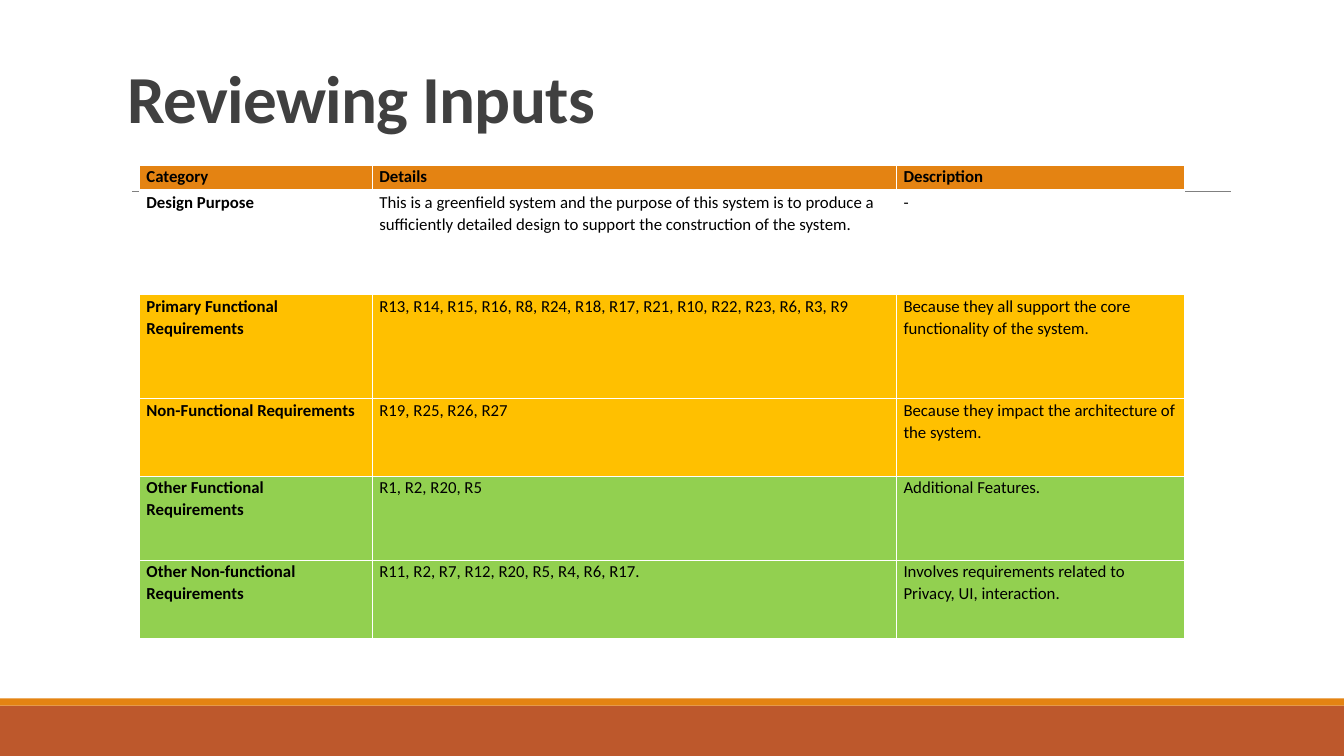
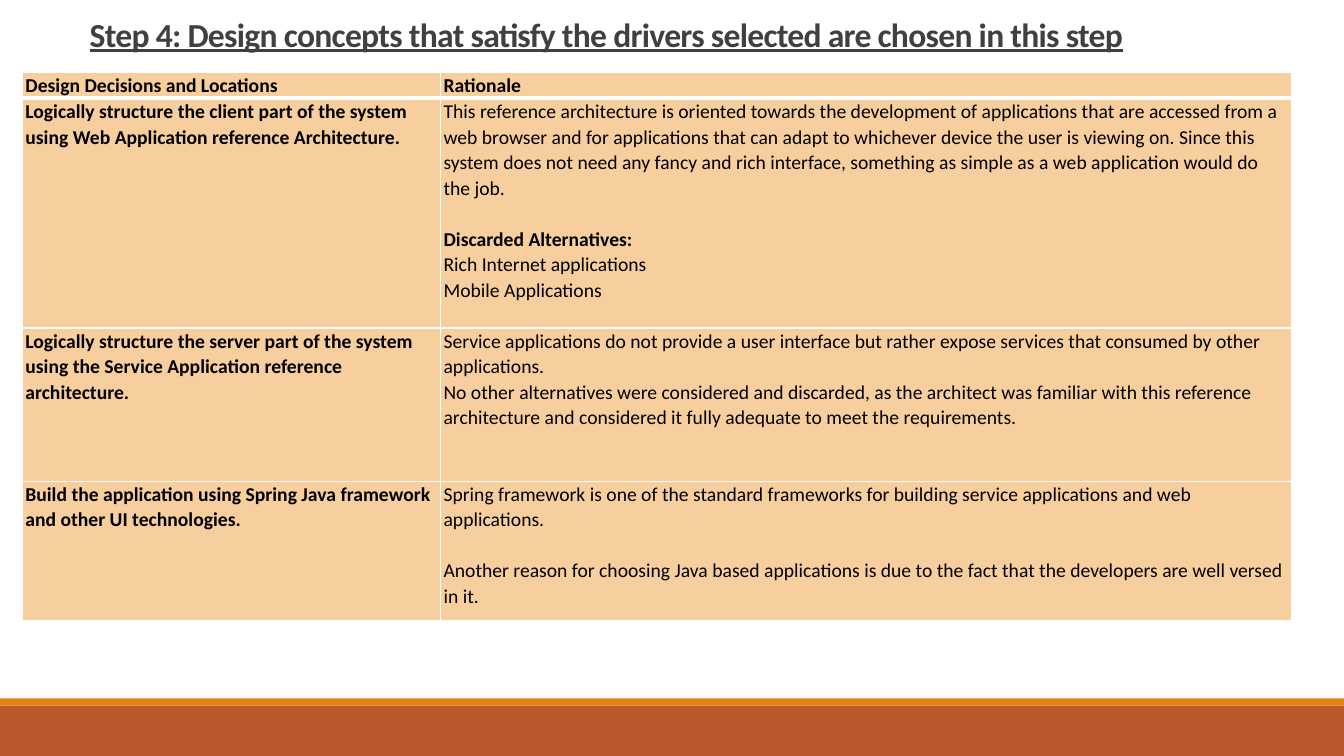
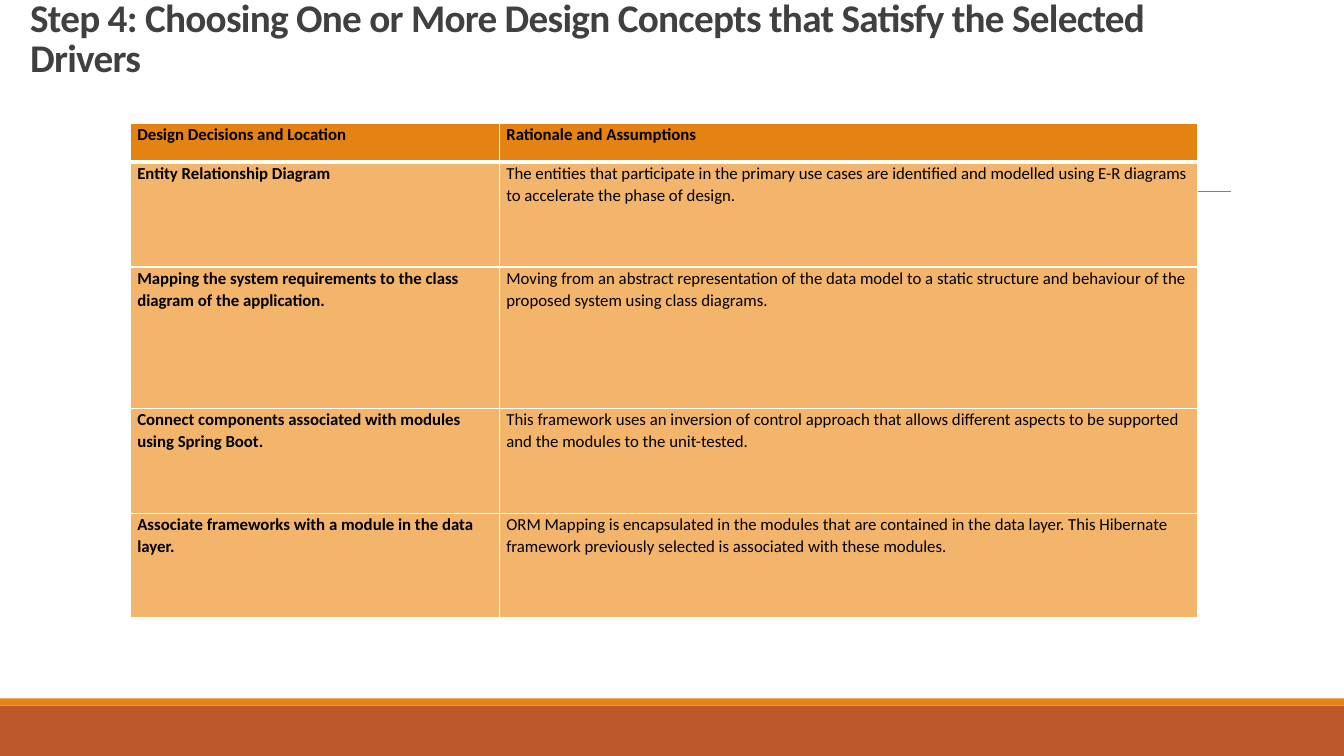
from lxml.etree import SubElement
from pptx import Presentation
from pptx.dml.color import RGBColor
from pptx.enum.shapes import MSO_CONNECTOR, MSO_SHAPE
from pptx.enum.text import MSO_ANCHOR, MSO_AUTO_SIZE, PP_ALIGN
from pptx.oxml.ns import qn
from pptx.util import Cm, Pt

COLORS = {
    "rust": "BD582C", "orange": "E48312", "peach": "F7CE9D", "apricot": "F3B56C",
    "amber": "FFC000", "green": "92D050", "white": "FFFFFF", "black": "000000",
    "title": "404040", "rule": "808080",
}
FONT = "Calibri"
WIDTH, HEIGHT = 33.87, 19.05
BANDS = [("rust", 17.78, 1.27), ("orange", 17.6, 0.18)]  # colour, top, height
RULE = (3.33, 4.83, 31.01, 4.83)
BLANK_LINE = 18.2  # points

# Content: lengths in cm, sizes in points. A cell is a string or a list of
# paragraphs; a paragraph is a string or (text, format) pair.
SLIDES = [
    {
        "title": "Reviewing Inputs",
        "title_box": (2.97, 0.2, 27.94, 3.38), "title_bottom": 0.13,
        "title_font": {"size": Pt(48)},
        "table_at": (3.51, 4.17), "text_size": 12, "inset": 0.18,
        "columns": [5.87, 13.21, 7.26],
        "heights": [0.64, 2.62, 2.62, 1.96, 2.11, 1.96],
        "fills": ["orange", "white", "amber", "amber", "green", "green"],
        "rows": [
            ["Category", "Details", "Description"],
            ["Design Purpose",
             "This is a greenfield system and the purpose of this system is to produce a "
             "sufficiently detailed design to support the construction of the system.",
             "-"],
            ["Primary Functional Requirements",
             "R13, R14, R15, R16, R8, R24, R18, R17, R21, R10, R22, R23, R6, R3, R9",
             "Because they all support the core functionality of the system."],
            ["Non-Functional Requirements", "R19, R25, R26, R27",
             "Because they impact the architecture of the system."],
            ["Other Functional Requirements", "R1, R2, R20, R5", "Additional Features."],
            ["Other Non-functional Requirements", "R11, R2, R7, R12, R20, R5, R4, R6, R17.",
             "Involves requirements related to Privacy, UI, interaction."],
        ],
    },
    {
        "title": "Step 4: Design concepts that satisfy the drivers selected are chosen in this step",
        "title_box": (2.01, 0, 29.21, 2.51), "title_bottom": 1.14,
        "title_font": {"size": Pt(24), "underline": True},
        "table_at": (0.56, 1.83), "text_size": 14, "inset": 0.08,
        "columns": [10.54, 21.46],
        "heights": [0.61, 5.79, 3.86, 3.51],
        "fills": ["peach"] * 4,
        "rows": [
            ["Design Decisions and Locations", "Rationale"],
            ["Logically structure the client part of the system using Web Application "
             "reference Architecture.",
             ["This reference architecture is oriented towards the development of applications "
              "that are accessed from a web browser and for applications that can adapt to "
              "whichever device the user is viewing on. Since this system does not need any "
              "fancy and rich interface, something as simple as a web application would do "
              "the job.",
              ("Discarded Alternatives:", {"bold": True, "before": BLANK_LINE}),
              "Rich Internet applications",
              "Mobile Applications"]],
            ["Logically structure the server part of the system using the Service Application "
             "reference architecture.",
             ["Service applications do not provide a user interface but rather expose services "
              "that consumed by other applications.",
              "No other alternatives were considered and discarded, as the architect was "
              "familiar with this reference architecture and considered it fully adequate to "
              "meet the requirements."]],
            ["Build the application using Spring Java framework and other UI technologies.",
             ["Spring framework is one of the standard frameworks for building service "
              "applications and web applications.",
              ("Another reason for choosing Java based applications is due to the fact that "
               "the developers are well versed in it.", {"before": BLANK_LINE})]],
        ],
    },
    {
        "title": "Step 4: Choosing One or More Design Concepts that Satisfy the Selected Drivers",
        "title_box": (0.51, 1.02, 31.01, 2.31), "title_bottom": 1.3,
        "title_font": {"size": Pt(28)},
        "table_at": (3.28, 3.1), "text_size": 12, "inset": 0.18,
        "columns": [9.3, 17.6],
        "heights": [0.99, 2.64, 3.56, 2.64, 2.64],
        "fills": ["orange"] + ["apricot"] * 4,
        "rows": [
            ["Design Decisions and Location", "Rationale and Assumptions"],
            ["Entity Relationship Diagram",
             "The entities that participate in the primary use cases are identified and "
             "modelled using E-R diagrams to accelerate the phase of design."],
            ["Mapping the system requirements to the class diagram of the application.",
             "Moving from an abstract representation of the data model to a static structure "
             "and behaviour of the proposed system using class diagrams."],
            ["Connect components associated with modules using Spring Boot.",
             "This framework uses an inversion of control approach that allows different "
             "aspects to be supported and the modules to the unit-tested."],
            ["Associate frameworks with a module in the data layer.",
             "ORM Mapping is encapsulated in the modules that are contained in the data layer. "
             "This Hibernate framework previously selected is associated with these modules."],
        ],
    },
]


def color(name):
    return RGBColor.from_string(COLORS[name])


def apply(target, values):
    for name, value in values.items():
        setattr(target, name, value)


def paint(fill, name):
    fill.solid()
    fill.fore_color.rgb = color(name)


def write(para, text, ink, **font):
    span = para.add_run()
    span.text = text
    apply(span.font, {"name": FONT, **font})
    span.font.color.rgb = color(ink)
    return span


# Shared bands and rule, drawn once and moved to the layout
def decorate(layout, page):
    parts = []
    for name, top, height in BANDS:
        band = page.shapes.add_shape(
            MSO_SHAPE.RECTANGLE, 0, Cm(top), Cm(WIDTH), Cm(height))
        band.shadow.inherit = False
        paint(band.fill, name)
        band.line.fill.background()
        parts.append(band)
    rule = page.shapes.add_connector(MSO_CONNECTOR.STRAIGHT, *map(Cm, RULE))
    rule.line.color.rgb = color("rule")
    rule.line.width = Pt(0.5)
    SubElement(rule.element.spPr, qn("a:effectLst"))
    parts.append(rule)
    for place, part in enumerate(parts, start=2):
        layout.element.cSld.spTree.insert(place, part.element)


def fill_title(title, content):
    left, top, width, height = map(Cm, content["title_box"])
    apply(title, {"left": left, "top": top, "width": width, "height": height})
    frame = title.text_frame
    apply(frame, {
        "auto_size": MSO_AUTO_SIZE.NONE, "word_wrap": True,
        "vertical_anchor": MSO_ANCHOR.BOTTOM,
        "margin_left": Cm(0.25), "margin_right": Cm(0.25),
        "margin_top": Cm(0.13), "margin_bottom": Cm(content["title_bottom"]),
    })
    para = frame.paragraphs[0]
    apply(para, {"alignment": PP_ALIGN.LEFT, "line_spacing": 0.85})
    span = write(para, content["title"], "title", bold=True, **content["title_font"])
    span.font.element.set("spc", "-50") if hasattr(span.font, "element") else \
        span._r.get_or_add_rPr().set("spc", "-50")


def add_borders(cell, row_index):
    widths = {"lnL": 1, "lnR": 1,
              "lnT": 3 if row_index == 1 else 1,
              "lnB": 3 if row_index == 0 else 1}
    properties = cell._tc.get_or_add_tcPr()
    for side, width in widths.items():
        line = SubElement(properties, qn(f"a:{side}"), w=str(Pt(width)))
        solid = SubElement(line, qn("a:solidFill"))
        SubElement(solid, qn("a:srgbClr"), val=COLORS["white"])


def fill_cell(cell, body, size, bold):
    paragraphs = [body] if isinstance(body, str) else body
    frame = cell.text_frame
    for index, entry in enumerate(paragraphs):
        text, style = (entry, {}) if isinstance(entry, str) else entry
        para = frame.paragraphs[0] if index == 0 else frame.add_paragraph()
        apply(para, {"line_spacing": 1.07, "space_before": Pt(style.get("before", 0))})
        write(para, text, "black", size=Pt(size), bold=style.get("bold", bold))


def add_grid(page, content):
    columns, heights = content["columns"], content["heights"]
    left, top = content["table_at"]
    table = page.shapes.add_table(
        len(heights), len(columns), Cm(left), Cm(top),
        Cm(sum(columns)), Cm(sum(heights))).table
    table.horz_banding = False
    for column, width in zip(table.columns, columns):
        column.width = Cm(width)
    for row_index, row in enumerate(content["rows"]):
        table.rows[row_index].height = Cm(heights[row_index])
        for column_index, body in enumerate(row):
            cell = table.cell(row_index, column_index)
            apply(cell, {"margin_left": Cm(content["inset"]),
                         "margin_right": Cm(content["inset"]),
                         "margin_top": 0, "margin_bottom": 0})
            add_borders(cell, row_index)
            paint(cell.fill, content["fills"][row_index])
            # Header row and first column are bold
            fill_cell(cell, body, content["text_size"], 0 in (row_index, column_index))


def main():
    deck = Presentation()
    apply(deck, {"slide_width": Cm(WIDTH), "slide_height": Cm(HEIGHT)})
    layout = deck.slide_layouts.get_by_name("Title Only")
    for index, content in enumerate(SLIDES):
        page = deck.slides.add_slide(layout)
        if index == 0:
            decorate(layout, page)
        fill_title(page.shapes.title, content)
        add_grid(page, content)
    deck.save("out.pptx")


if __name__ == "__main__":
    main()
